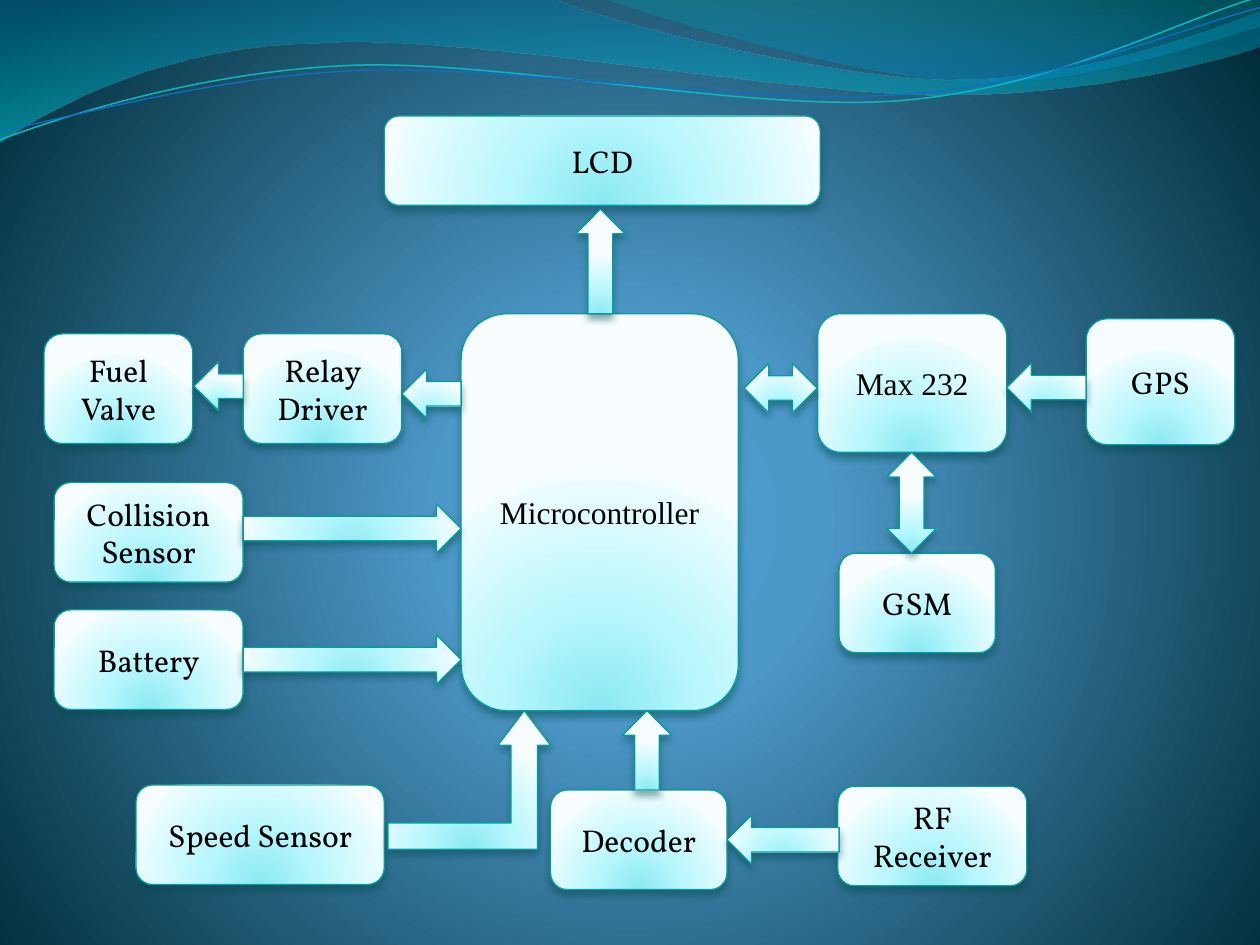
from dataclasses import dataclass
from math import cos, radians, sin

from pptx import Presentation
from pptx.dml.color import RGBColor
from pptx.enum.shapes import MSO_SHAPE
from pptx.enum.text import MSO_ANCHOR, PP_ALIGN
from pptx.oxml import parse_xml
from pptx.oxml.ns import nsdecls, qn
from pptx.util import Inches, Pt


@dataclass(frozen=True)
class Theme:
    """Colours, fonts and sizes of the slide."""
    text: str = "000000"
    outline: str = "069CA3"
    shadow: str = "024B4E"
    font: str = "Vollkorn"
    plain_font: str = "Times New Roman"
    text_size: float = 18
    outline_width: float = 0.75
    background_stops: tuple = ((0, "4AA0D6"), (25, "4C98C7"), (100, "002C38"))
    background_focus: tuple = (10, 110, 10, 100)
    block_stops: tuple = ((0, "8BE9F1"), (43, "B9F7FD"), (93, "EAFCFE"), (100, "F8FEFF"))
    block_focus: tuple = (50, 130, 50, -30)
    wide_wave_stops: tuple = ((0, "0074A1", 45), (100, "00C6CF", 55))
    corner_wave_stops: tuple = ((0, "00A1A9", 30), (80, "008BBF", 45))
    upper_line: str = "0AB8BF"
    lower_line: str = "0F6FC6"
    line_tilt: float = 357.3


THEME = Theme()

WIDE_WAVE = (
    (0, 0), (4.4, -0.01), (4.76, 0.17, 6.64, 0.63, 7.58, 0.63),
    (8.53, 0.63, 9.58, 0.26, 10, 0.09), (10.01, 0.36),
    (9.83, 0.44, 8.7, 0.76, 7.46, 0.75), (6.22, 0.75, 3.82, 0.28, 2.57, 0.34),
    (1.29, 0.36, 0.46, 0.83, -0.01, 1.13), (0, 0),
)
CORNER_WAVE = (
    (4.79, -0.01), (5.09, 0.11, 6.82, 0.62, 7.69, 0.65),
    (8.56, 0.69, 9.61, 0.32, 10, 0.21), (10, 0), (4.79, -0.01),
)
UPPER_LINE = (
    (0, 1.11), (0.48, 0.93, 1.58, 0.57, 2.77, 0.52),
    (3.95, 0.47, 5.93, 0.89, 7.13, 0.8), (8.33, 0.71, 9.38, 0.15, 9.98, -0.02),
)
LOWER_LINE = (
    (0, 1.04), (0.47, 0.96, 1.64, 0.61, 2.83, 0.56),
    (4.03, 0.51, 5.97, 0.84, 7.17, 0.75), (8.36, 0.67, 9.41, 0.21, 10, 0.06),
)

BLOCKS = (
    ("Microcontroller", 3.66, 2.49, 2.2, 3.15, THEME.plain_font),
    ("LCD", 3.05, 0.92, 3.46, 0.71, THEME.font),
    ("Fuel Valve", 0.35, 2.65, 1.18, 0.87, THEME.font),
    ("Relay Driver", 1.93, 2.65, 1.26, 0.87, THEME.font),
    ("Collision Sensor", 0.43, 3.83, 1.5, 0.79, THEME.font),
    ("Battery", 0.43, 4.84, 1.5, 0.79, THEME.font),
    ("Speed Sensor", 1.08, 6.23, 1.97, 0.79, THEME.font),
    ("Decoder", 4.37, 6.27, 1.4, 0.79, THEME.font),
    ("Max 232", 6.49, 2.49, 1.5, 1.1, THEME.plain_font),
    ("GSM", 6.66, 4.39, 1.24, 0.79, THEME.font),
    ("GPS", 8.62, 2.53, 1.18, 1, THEME.font),
    ("RF Receiver", 6.65, 6.24, 1.5, 0.79, THEME.font),
)

ARROWS = (
    (MSO_SHAPE.UP_DOWN_ARROW, 6, 2.79, 0.39, 0.58, 90),
    (MSO_SHAPE.UP_DOWN_ARROW, 7.04, 3.59, 0.39, 0.8, 180),
    (MSO_SHAPE.RIGHT_ARROW, 4.82, 5.76, 0.63, 0.39, 270),
    (MSO_SHAPE.RIGHT_ARROW, 5.77, 6.47, 0.89, 0.39, 180),
    (MSO_SHAPE.RIGHT_ARROW, 7.99, 2.88, 0.63, 0.39, 180),
    (MSO_SHAPE.RIGHT_ARROW, 3.19, 2.93, 0.47, 0.39, 180),
    (MSO_SHAPE.RIGHT_ARROW, 4.35, 1.88, 0.83, 0.39, 270),
    (MSO_SHAPE.RIGHT_ARROW, 1.93, 5.04, 1.73, 0.39, 0),
    (MSO_SHAPE.RIGHT_ARROW, 1.93, 4, 1.73, 0.39, 0),
    (MSO_SHAPE.RIGHT_ARROW, 1.54, 2.87, 0.39, 0.39, 180),
    (MSO_SHAPE.BENT_UP_ARROW, 3.08, 5.64, 1.29, 1.1, 0),
)


def set_gradient(fill, properties, stops, focus=None):
    """Fill with a circular gradient around focus, or a downward one without it."""
    fill.gradient()
    stop_xml = ""
    for position, color, *alpha in stops:
        opacity = f'<a:alpha val="{alpha[0] * 1000}"/>' if alpha else ""
        stop_xml += (f'<a:gs pos="{position * 1000}"><a:srgbClr val="{color}">'
                     f"{opacity}</a:srgbClr></a:gs>")
    if focus:
        edges = " ".join(f'{side}="{value * 1000}"' for side, value in zip("ltrb", focus))
        shade = f'<a:path path="circle"><a:fillToRect {edges}/></a:path>'
    else:
        shade = '<a:lin ang="5400000" scaled="1"/>'
    gradient = parse_xml(f'<a:gradFill {nsdecls("a")} rotWithShape="1">'
                         f"<a:gsLst>{stop_xml}</a:gsLst>{shade}</a:gradFill>")
    properties.replace(properties.find(qn("a:gradFill")), gradient)


def set_line(shape, color, width):
    """Give a shape a solid outline."""
    shape.line.color.rgb = RGBColor.from_string(color)
    shape.line.width = Pt(width)


def add_curve(shapes, segments, frame, closed, rotation=0):
    """Add a freeform of lines and cubic curves inside the frame."""
    left, top, width, height = frame
    center_x, center_y = left + width / 2, top + height / 2
    angle = radians(-rotation)

    def point_xml(x, y):
        """Write a slide point in the frame's own, unrotated coordinates."""
        dx, dy = x - center_x, y - center_y
        local_x = width / 2 + dx * cos(angle) - dy * sin(angle)
        local_y = height / 2 + dx * sin(angle) + dy * cos(angle)
        return f'<a:pt x="{Inches(local_x)}" y="{Inches(local_y)}"/>'

    anchors = [(Inches(segment[-2]), Inches(segment[-1])) for segment in segments]
    builder = shapes.build_freeform(*anchors[0])
    builder.add_line_segments(anchors[1:], close=closed)
    shape = builder.convert_to_shape()
    shape.left, shape.top = Inches(left), Inches(top)
    shape.width, shape.height = Inches(width), Inches(height)
    shape.rotation = rotation
    shape.shadow.inherit = False

    commands = f"<a:moveTo>{point_xml(*segments[0])}</a:moveTo>"
    for segment in segments[1:]:
        tag = "lnTo" if len(segment) == 2 else "cubicBezTo"
        points = "".join(point_xml(*pair) for pair in zip(segment[::2], segment[1::2]))
        commands += f"<a:{tag}>{points}</a:{tag}>"
    if closed:
        commands += "<a:close/>"
    outline = parse_xml(f'<a:path {nsdecls("a")} w="{shape.width}" h="{shape.height}">'
                        f"{commands}</a:path>")
    straight = next(shape.element.iter(qn("a:path")))
    straight.getparent().replace(straight, outline)
    return shape


def add_wave(shapes, segments, frame, stops):
    """Add a translucent band without an outline."""
    shape = add_curve(shapes, segments, frame, True)
    set_gradient(shape.fill, shape.element.spPr, stops)
    shape.line.fill.background()


def add_wave_line(shapes, segments, frame, color, width):
    """Add a thin open curve, slightly tilted."""
    shape = add_curve(shapes, segments, frame, False, THEME.line_tilt)
    shape.fill.background()
    set_line(shape, color, width)


def add_glossy_shape(shapes, kind, left, top, width, height):
    """Add a preset shape with the glossy fill, outline and soft shadow."""
    shape = shapes.add_shape(kind, Inches(left), Inches(top), Inches(width), Inches(height))
    set_gradient(shape.fill, shape.element.spPr, THEME.block_stops, THEME.block_focus)
    set_line(shape, THEME.outline, THEME.outline_width)
    shape.shadow.inherit = False
    shape.element.spPr.find(qn("a:effectLst")).append(parse_xml(
        f'<a:outerShdw {nsdecls("a")} blurRad="{Pt(4.5)}" dist="{Pt(3)}" dir="5400000" '
        f'rotWithShape="0"><a:srgbClr val="{THEME.shadow}"><a:alpha val="48000"/>'
        "</a:srgbClr></a:outerShdw>"))
    return shape


def add_block(shapes, text, left, top, width, height, font):
    """Add a rounded block with a centred label."""
    shape = add_glossy_shape(shapes, MSO_SHAPE.ROUNDED_RECTANGLE, left, top, width, height)
    text_frame = shape.text_frame
    text_frame.text = text
    text_frame.word_wrap = True
    text_frame.vertical_anchor = MSO_ANCHOR.MIDDLE
    paragraph = text_frame.paragraphs[0]
    paragraph.alignment = PP_ALIGN.CENTER
    run_font = paragraph.runs[0].font
    run_font.name, run_font.size = font, Pt(THEME.text_size)
    run_font.color.rgb = RGBColor.from_string(THEME.text)


def add_arrow(shapes, kind, left, top, width, height, rotation):
    """Add a block arrow turned by rotation degrees."""
    shape = add_glossy_shape(shapes, kind, left, top, width, height)
    shape.rotation = rotation
    if kind == MSO_SHAPE.BENT_UP_ARROW:
        for index, value in enumerate((0.19, 0.19, 0.25)):
            shape.adjustments[index] = value


def main():
    """Build the block diagram slide."""
    presentation = Presentation()
    presentation.slide_width, presentation.slide_height = Inches(10), Inches(7.5)
    slide = presentation.slides.add_slide(presentation.slide_layouts[6])
    shapes = slide.shapes
    background_fill = slide.background.fill
    set_gradient(background_fill, next(slide.element.iter(qn("p:bgPr"))),
                 THEME.background_stops, THEME.background_focus)
    add_wave(shapes, WIDE_WAVE, (-0.01, -0.01, 10.02, 1.14), THEME.wide_wave_stops)
    add_wave(shapes, CORNER_WAVE, (4.79, -0.01, 5.21, 0.7), THEME.corner_wave_stops)
    add_wave_line(shapes, UPPER_LINE, (-0.02, 0.22, 10.02, 0.71), THEME.upper_line, 0.85)
    add_wave_line(shapes, LOWER_LINE, (-0.02, 0.3, 10.03, 0.58), THEME.lower_line, 0.75)
    for block in BLOCKS:
        add_block(shapes, *block)
    for arrow in ARROWS:
        add_arrow(shapes, *arrow)
    presentation.save("out.pptx")


if __name__ == "__main__":
    main()
